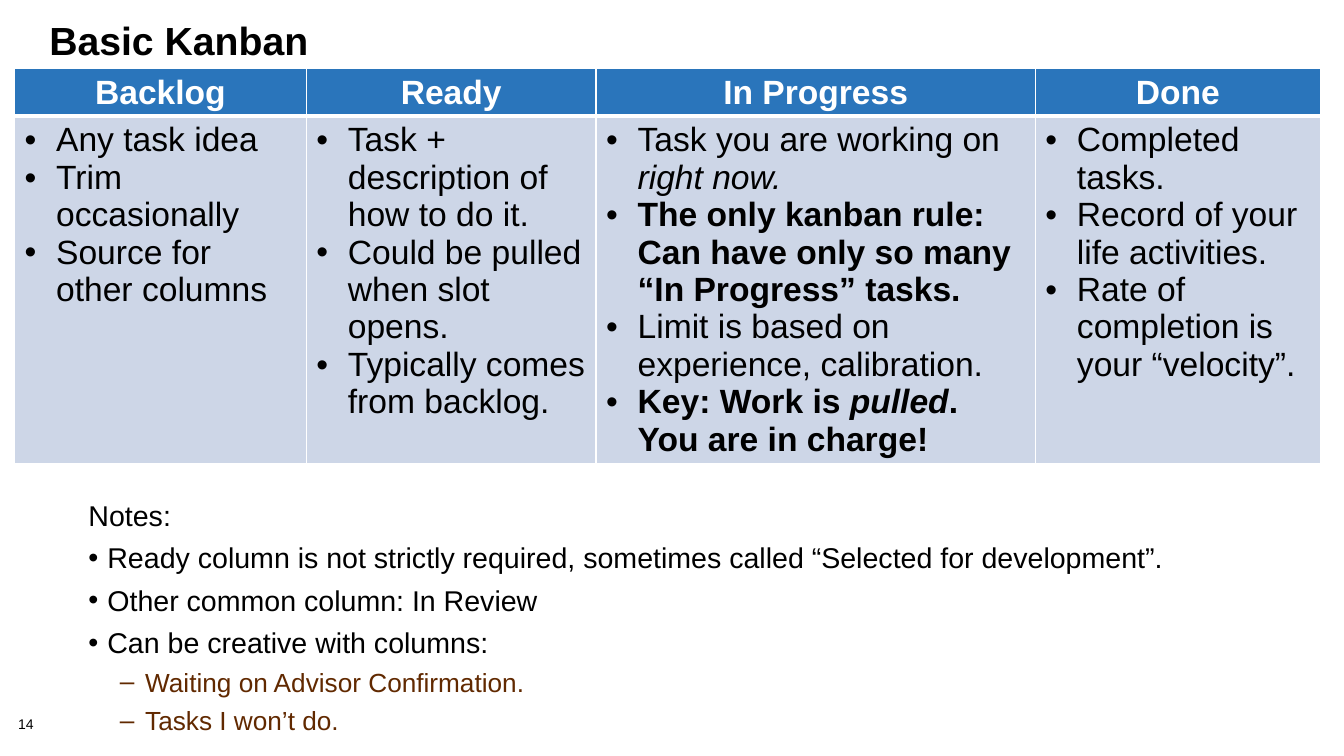
from dataclasses import dataclass

from pptx import Presentation
from pptx.dml.color import RGBColor
from pptx.enum.text import MSO_ANCHOR, MSO_AUTO_SIZE, PP_ALIGN
from pptx.oxml.ns import qn
from pptx.util import Pt
from lxml.etree import SubElement


@dataclass(frozen=True)
class Theme:
    font: str = "Arial"
    ink: str = "000000"
    paper: str = "FFFFFF"
    header: str = "2A75BB"
    column: str = "CDD6E7"
    detail: str = "612900"
    title_size: float = 28
    table_size: float = 24
    note_size: float = 20.4
    detail_size: float = 18.7
    number_size: float = 10


def apply(target, values):
    for name, value in values.items():
        setattr(target, name, value)


class KanbanSlide:
    def __init__(self, deck, theme):
        self.theme = theme
        self.slide = deck.slides.add_slide(deck.slide_layouts[1])

    def place(self, shape, left, top, width, height):
        apply(shape, {"left": Pt(left), "top": Pt(top),
                      "width": Pt(width), "height": Pt(height)})

    def frame(self, shape, anchor, margins=(7.2, 3.6)):
        side, edge = (Pt(margin) for margin in margins)
        apply(shape.text_frame, {
            "word_wrap": True, "auto_size": MSO_AUTO_SIZE.NONE,
            "vertical_anchor": anchor, "margin_left": side,
            "margin_right": side, "margin_top": edge, "margin_bottom": edge})
        return shape.text_frame

    def paragraph(self, frame, index, runs, size, color, bullet=None,
                  indent=(0, 0), **layout):
        paragraph = frame.add_paragraph() if index else frame.paragraphs[0]
        apply(paragraph, layout)
        properties = paragraph._p.get_or_add_pPr()
        left, first = indent
        properties.set("marL", str(Pt(left)))
        properties.set("indent", str(Pt(first)))
        if bullet:
            SubElement(properties, qn("a:buFont"), typeface=self.theme.font)
            SubElement(properties, qn("a:buChar"), char=bullet)
        else:
            SubElement(properties, qn("a:buNone"))
        for words, style in [(runs, "")] if isinstance(runs, str) else runs:
            run = paragraph.add_run()
            run.text = words
            apply(run.font, {"name": self.theme.font, "size": Pt(size),
                             "bold": "b" in style, "italic": "i" in style})
            run.font.color.rgb = RGBColor.from_string(color)

    def title(self, words, *box):
        heading = self.slide.shapes.title
        self.place(heading, *box)
        self.paragraph(self.frame(heading, MSO_ANCHOR.MIDDLE), 0,
                       [(words, "b")], self.theme.title_size, self.theme.ink,
                       alignment=PP_ALIGN.LEFT, line_spacing=0.85)

    def number(self, words, *box):
        label = self.slide.shapes.add_textbox(*map(Pt, box))
        self.paragraph(self.frame(label, MSO_ANCHOR.TOP, (0, 0)), 0, words,
                       self.theme.number_size, self.theme.ink,
                       line_spacing=0.9)

    def cell(self, cell, fill, borders):
        properties = cell._tc.get_or_add_tcPr()
        for side, width in borders.items():
            line = SubElement(properties, qn(f"a:ln{side}"), w=str(Pt(width)))
            paint = SubElement(line, qn("a:solidFill"))
            SubElement(paint, qn("a:srgbClr"), val=self.theme.paper)
        cell.fill.solid()
        cell.fill.fore_color.rgb = RGBColor.from_string(fill)
        return cell.text_frame

    def board(self, columns, widths, heights, left, top):
        theme = self.theme
        table = self.slide.shapes.add_table(
            2, len(columns), Pt(left), Pt(top),
            Pt(sum(widths)), Pt(sum(heights))).table
        table.horz_banding = False
        for row, height in zip(table.rows, heights):
            row.height = Pt(height)
        for index, (heading, tasks) in enumerate(columns):
            table.columns[index].width = Pt(widths[index])
            head = self.cell(table.cell(0, index), theme.header,
                             {"L": 1, "R": 1, "T": 1, "B": 3})
            self.paragraph(head, 0, [(heading, "b")], theme.table_size,
                           theme.paper, alignment=PP_ALIGN.CENTER)
            body = self.cell(table.cell(1, index), theme.column,
                             {"L": 1, "R": 1, "T": 3, "B": 1})
            for order, task in enumerate(tasks):
                self.paragraph(body, order, task, theme.table_size, theme.ink,
                               "•", (22.5, -22.5))

    def notes(self, heading, points, details, *box):
        theme = self.theme
        body = self.slide.placeholders[1]
        self.place(body, *box)
        frame = self.frame(body, MSO_ANCHOR.TOP)
        self.paragraph(frame, 0, heading, theme.note_size, theme.ink,
                       indent=(13.5, 0), space_before=Pt(0))
        for order, point in enumerate(points, 1):
            self.paragraph(frame, order, point, theme.note_size, theme.ink,
                           "•", (27, -13.5), space_before=Pt(5.8))
        for order, detail in enumerate(details, len(points) + 1):
            self.paragraph(frame, order, detail, theme.detail_size,
                           theme.detail, "–", (54, -18), level=1,
                           space_before=Pt(4.8))


COLUMNS = [
    ("Backlog", ["Any task idea", "Trim occasionally",
                 "Source for other columns"]),
    ("Ready", ["Task + description of how to do it.",
               "Could be pulled when slot opens.",
               "Typically comes from backlog."]),
    ("In Progress", [
        [("Task you are working on ", ""), ("right now.", "i")],
        [("The only kanban rule: Can have only so many "
          "“In Progress” tasks.", "b")],
        "Limit is based on experience, calibration.",
        [("Key: Work is ", "b"), ("pulled", "bi"),
         (". You are in charge!", "b")]]),
    ("Done", ["Completed tasks.", "Record of your life activities.",
              "Rate of completion is your “velocity”."]),
]


def main():
    deck = Presentation()
    apply(deck, {"slide_width": Pt(960), "slide_height": Pt(540)})
    kanban = KanbanSlide(deck, Theme())
    kanban.number("14", 13, 512.6, 40, 11.5)
    kanban.title("Basic Kanban", 28, 10.8, 896, 40.3)
    kanban.board(COLUMNS, [208.4, 207, 313.8, 203.6], [28.8, 244.1], 10.4, 49)
    kanban.notes(
        "Notes:",
        ["Ready column is not strictly required, sometimes called "
         "“Selected for development”.",
         "Other common column: In Review",
         "Can be creative with columns:"],
        ["Waiting on Advisor Confirmation.", "Tasks I won’t do."],
        42.5, 352, 805, 168)
    deck.save("out.pptx")


if __name__ == "__main__":
    main()
